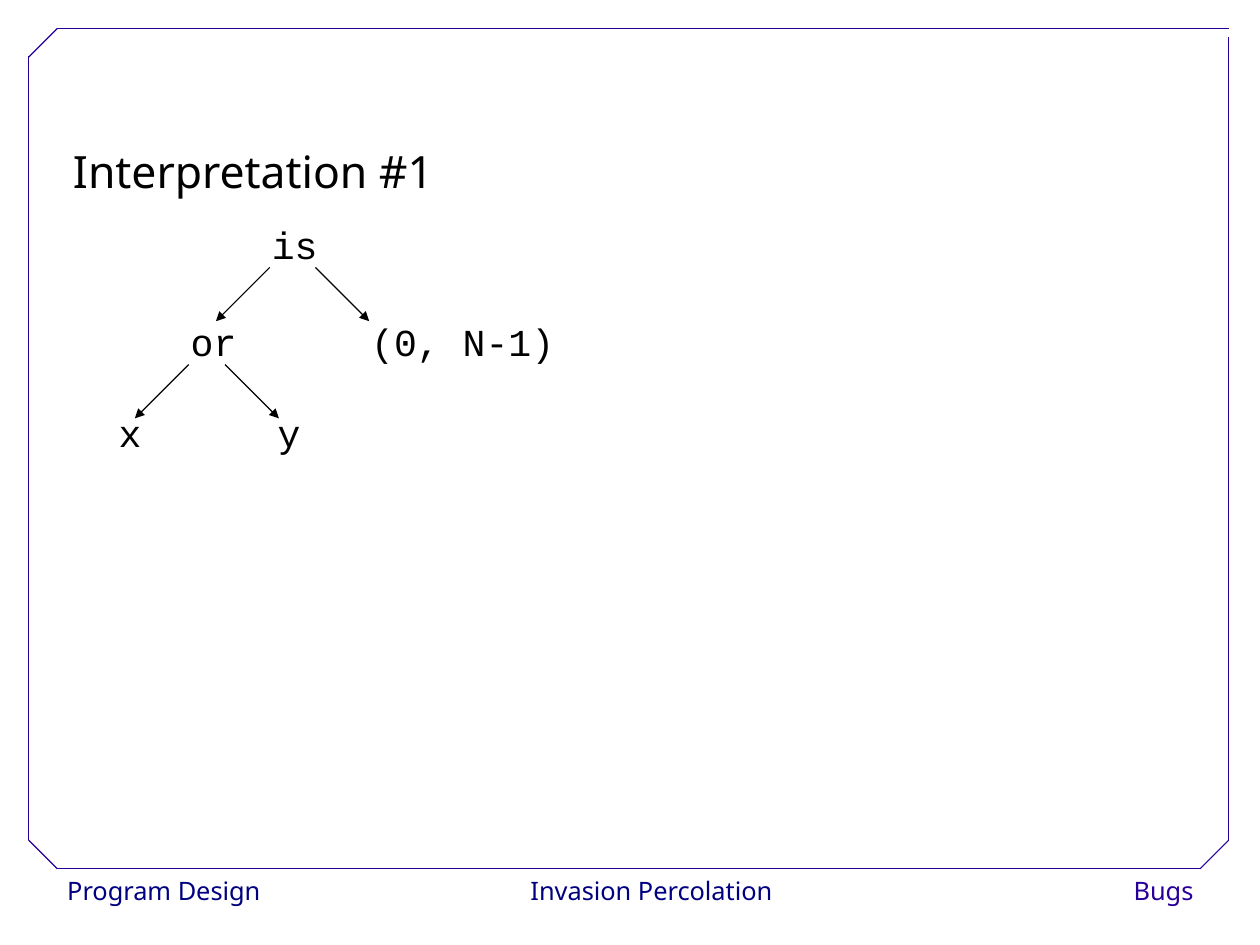
from lxml import etree
from pptx import Presentation
from pptx.dml.color import RGBColor
from pptx.enum.shapes import MSO_CONNECTOR
from pptx.enum.text import MSO_ANCHOR, PP_ALIGN
from pptx.oxml.ns import qn
from pptx.util import Inches, Pt

STRAIGHT = MSO_CONNECTOR.STRAIGHT
TOP = MSO_ANCHOR.TOP
LEFT, CENTER, RIGHT = PP_ALIGN.LEFT, PP_ALIGN.CENTER, PP_ALIGN.RIGHT

CM_PER_INCH = 2.54
PAGE_WIDTH_CM, PAGE_HEIGHT_CM = 28, 21
COLORS = {"frame": "280099", "footer": "000080", "ink": "000000", "paper": "FFFFFF"}
SANS, MONO = "Noto Sans", "Courier New"

TITLE = "Interpretation #1"
FOOTERS = [
    ("Program Design", 0.49, 1.9, LEFT, "footer"),
    ("Invasion Percolation", 4.5, 2.4, CENTER, "footer"),
    ("Bugs", 9.14, 1.4, RIGHT, "frame"),
]
FRAME_LINES = [
    ((0.5, 7.6), (10.5, 7.6)),
    ((0.25, 7.35), (0.25, 0.49)),
    ((0.5, 0.25), (10.75, 0.25)),
    ((10.75, 7.35), (10.75, 0.32)),
    ((0.25, 0.5), (0.5, 0.25)),
    ((10.5, 7.6), (10.75, 7.35)),
    ((0.25, 7.35), (0.5, 7.6)),
]
TREE_NODES = [
    ("is", 2.28, 1.79),
    ("or", 1.57, 2.64),
    ("(0, N-1)", 3.15, 2.64),
    ("x", 0.94, 3.43),
    ("y", 2.33, 3.43),
]
BRANCHES = [(2.36, 2.34, -1), (2.76, 2.34, 1), (1.65, 3.19, -1), (1.97, 3.19, 1)]
BRANCH_REACH = 0.47
LETTER_WIDTH, INSET, NODE_HEIGHT = 0.2, 0.1, 0.55


def add_text(page, text, left, top, width, height, *, size, font, color,
             spacing, align=LEFT, fill=None):
    box = page.shapes.add_textbox(Inches(left), Inches(top), Inches(width), Inches(height))
    if fill:
        box.fill.solid()
        box.fill.fore_color.rgb = RGBColor.from_string(COLORS[fill])
    frame = box.text_frame
    frame.word_wrap = False
    frame.vertical_anchor = TOP
    para = frame.paragraphs[0]
    para.alignment = align
    para.line_spacing = spacing
    span = para.add_run()
    span.text = text
    span.font.size = Pt(size)
    span.font.name = font
    span.font.color.rgb = RGBColor.from_string(COLORS[color])


def add_line(page, start, end, color, arrow=False):
    line = page.shapes.add_connector(STRAIGHT, *map(Inches, start + end))
    line.line.width = Pt(0.75)
    line.line.color.rgb = RGBColor.from_string(COLORS[color])
    properties = line._element.spPr
    if arrow:
        etree.SubElement(properties.find(qn("a:ln")), qn("a:tailEnd"), type="triangle")
    etree.SubElement(properties, qn("a:effectLst"))


def main():
    deck = Presentation()
    deck.slide_width = Inches(PAGE_WIDTH_CM / CM_PER_INCH)
    deck.slide_height = Inches(PAGE_HEIGHT_CM / CM_PER_INCH)
    page = deck.slides.add_slide(deck.slide_layouts[6])
    page.background.fill.solid()
    page.background.fill.fore_color.rgb = RGBColor.from_string(COLORS["paper"])

    for text, left, width, align, color in FOOTERS:
        add_text(page, text, left, 7.6, width, 0.4, size=16, font=SANS,
                 color=color, spacing=1.02, align=align, fill="paper")
    for start, end in FRAME_LINES:
        add_line(page, start, end, "frame")

    add_text(page, TITLE, 0.54, 0.98, 4.35, 0.8, size=28, font=SANS,
             color="ink", spacing=1.5)
    for text, left, top in TREE_NODES:
        width = len(text) * LETTER_WIDTH + 2 * INSET
        add_text(page, text, left, top, width, NODE_HEIGHT, size=24, font=MONO,
                 color="ink", spacing=1.25)
    for x, y, side in BRANCHES:
        add_line(page, (x, y), (x + side * BRANCH_REACH, y + BRANCH_REACH), "ink", arrow=True)

    deck.save("out.pptx")


if __name__ == "__main__":
    main()
